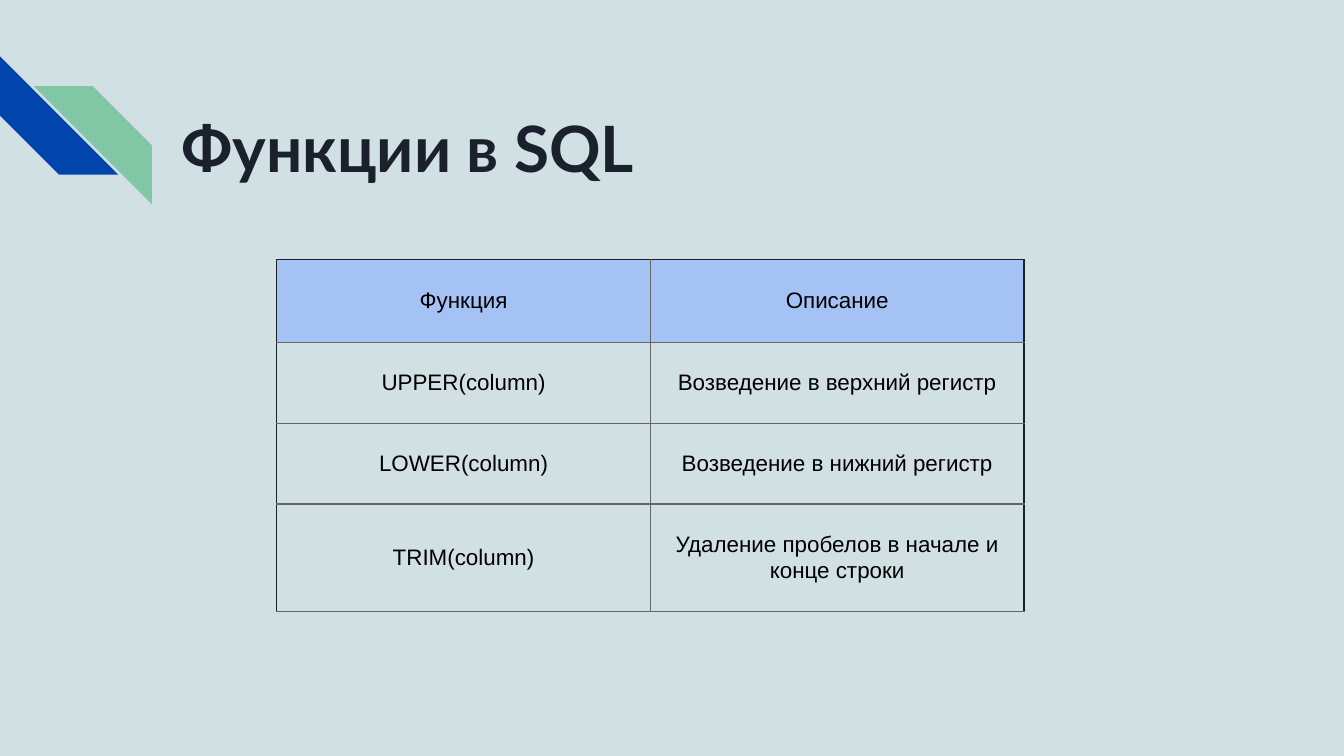
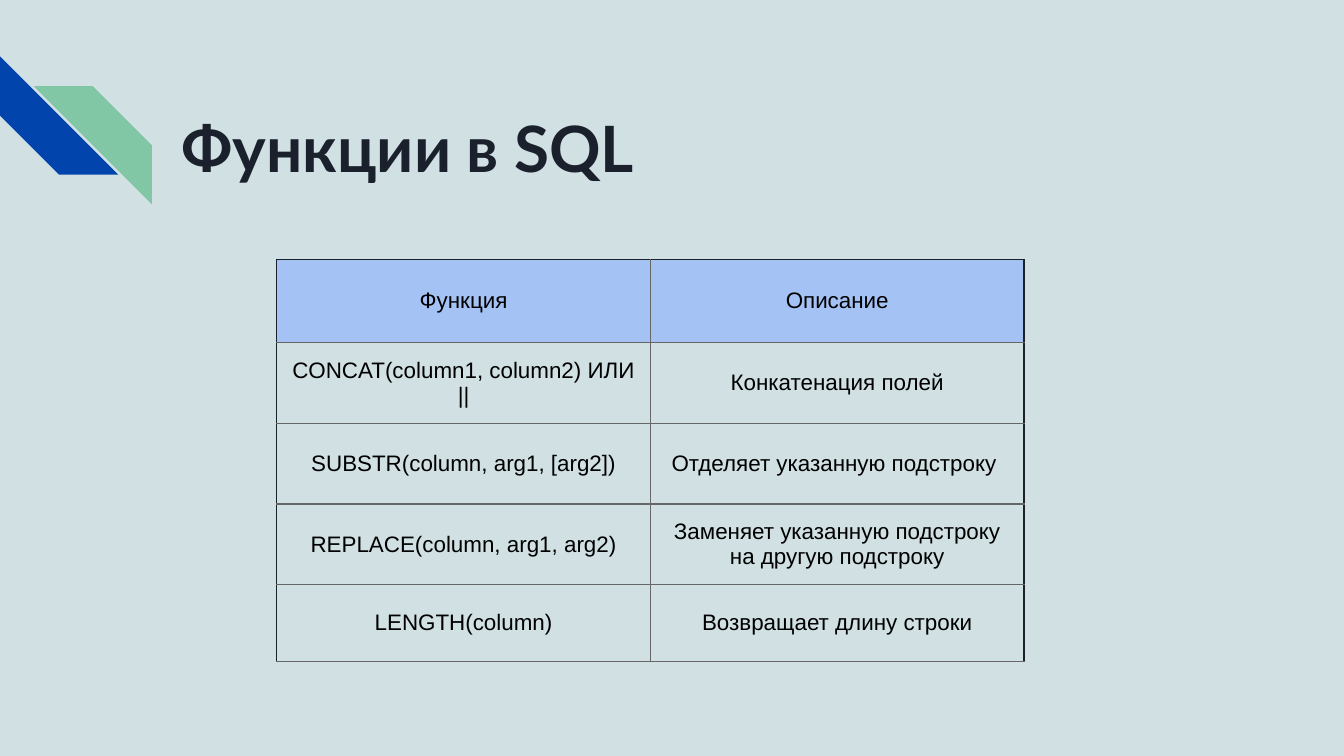
from dataclasses import dataclass

from lxml import etree
from pptx import Presentation
from pptx.dml.color import RGBColor
from pptx.enum.shapes import MSO_SHAPE
from pptx.enum.text import MSO_ANCHOR, PP_ALIGN
from pptx.oxml.ns import qn
from pptx.slide import Slide
from pptx.table import _Cell
from pptx.util import Emu, Pt

DIAGONAL_STRIPE = MSO_SHAPE.DIAGONAL_STRIPE
CENTER = PP_ALIGN.CENTER
MIDDLE = MSO_ANCHOR.MIDDLE

PX_PER_INCH = 200
EMU_PER_PX = 914400 // PX_PER_INCH

BACKGROUND = "D0E0E3"
INK = "1B212C"
TEXT = "000000"
HEADER_FILL = "A4C2F4"
GRID_LINE = "666666"

TITLE = "Функции в SQL"
TITLE_FONT = "Lato"
TABLE_FONT = "Arial"
HEADER = ("Функция", "Описание")

INSET = 20
STRIPE_SIZE = 176
TABLE_LEFT, TABLE_TOP = 412, 386
COLUMN_WIDTH = 556
HEADER_HEIGHT = 124


@dataclass(frozen=True)
class Stripe:
    left: int
    top: int
    rotation: int
    color: str


@dataclass(frozen=True)
class FunctionRow:
    function: str
    description: str
    height: int = 120


STRIPES = (
    Stripe(0, 84, 270, "0145AC"),
    Stripe(50, 128, 90, "82C7A5"),
)

FUNCTION_TABLES = (
    (
        FunctionRow("UPPER(column)", "Возведение в верхний регистр"),
        FunctionRow("LOWER(column)", "Возведение в нижний регистр"),
        FunctionRow("TRIM(column)", "Удаление пробелов в начале и конце строки", 160),
    ),
    (
        FunctionRow("CONCAT(column1, column2) ИЛИ ||", "Конкатенация полей"),
        FunctionRow("SUBSTR(column, arg1, [arg2])", "Отделяет указанную подстроку "),
        FunctionRow("REPLACE(column, arg1, arg2)",
                    "Заменяет указанную подстроку на другую подстроку"),
        FunctionRow("LENGTH(column)", "Возвращает длину строки", 114),
    ),
)


def px(length: int) -> Emu:
    return Emu(length * EMU_PER_PX)


def rgb(color: str) -> RGBColor:
    return RGBColor.from_string(color)


def add_stripe(page: Slide, stripe: Stripe) -> None:
    shape = page.shapes.add_shape(DIAGONAL_STRIPE, px(stripe.left), px(stripe.top),
                                  px(STRIPE_SIZE), px(STRIPE_SIZE))
    shape.rotation = stripe.rotation
    shape.shadow.inherit = False
    shape.fill.solid()
    shape.fill.fore_color.rgb = rgb(stripe.color)
    shape.line.fill.background()


def add_title(page: Slide) -> None:
    box = page.shapes.add_textbox(px(250), px(142), px(1482), px(152))
    frame = box.text_frame
    frame.word_wrap = True
    frame.margin_left = frame.margin_right = px(INSET)
    frame.margin_top = frame.margin_bottom = px(INSET)
    para = frame.paragraphs[0]
    para.text = TITLE
    para.font.name = TITLE_FONT
    para.font.size = Pt(34.2)
    para.font.bold = True
    para.font.color.rgb = rgb(INK)


def set_borders(cell: _Cell, colors: dict[str, str]) -> None:
    """Draw thin cell borders; the keys L, R, T, B must come in that order."""
    properties = cell._tc.get_or_add_tcPr()
    for side, color in colors.items():
        line = etree.SubElement(properties, qn(f"a:ln{side}"), w=str(Pt(0.75)))
        fill = etree.SubElement(line, qn("a:solidFill"))
        etree.SubElement(fill, qn("a:srgbClr"), val=color)


def fill_cell(cell: _Cell, text: str, is_header: bool, is_first_column: bool) -> None:
    cell.margin_left = cell.margin_right = px(INSET)
    cell.margin_top = cell.margin_bottom = px(INSET)
    cell.vertical_anchor = MIDDLE
    set_borders(cell, {
        "L": INK if is_first_column else GRID_LINE,
        "R": GRID_LINE if is_first_column else INK,
        "T": INK if is_header else GRID_LINE,
        "B": GRID_LINE,
    })
    if is_header:
        cell.fill.solid()
        cell.fill.fore_color.rgb = rgb(HEADER_FILL)
    else:
        cell.fill.background()
    para = cell.text_frame.paragraphs[0]
    para.text = text
    para.alignment = CENTER
    para.font.name = TABLE_FONT
    para.font.size = Pt(12)
    para.font.color.rgb = rgb(TEXT)


def add_function_table(page: Slide, functions: tuple[FunctionRow, ...]) -> None:
    rows = (FunctionRow(*HEADER, HEADER_HEIGHT), *functions)
    table = page.shapes.add_table(
        len(rows), len(HEADER), px(TABLE_LEFT), px(TABLE_TOP),
        px(COLUMN_WIDTH * len(HEADER)), px(sum(row.height for row in rows))).table
    table.first_row = table.horz_banding = False
    for column in table.columns:
        column.width = px(COLUMN_WIDTH)
    for row_index, row in enumerate(rows):
        table.rows[row_index].height = px(row.height)
        for column_index, text in enumerate((row.function, row.description)):
            fill_cell(table.cell(row_index, column_index), text,
                      row_index == 0, column_index == 0)


def main() -> None:
    deck = Presentation()
    deck.slide_width, deck.slide_height = px(2000), px(1125)
    blank = deck.slide_layouts[6]
    for functions in FUNCTION_TABLES:
        page = deck.slides.add_slide(blank)
        page.background.fill.solid()
        page.background.fill.fore_color.rgb = rgb(BACKGROUND)
        for stripe in STRIPES:
            add_stripe(page, stripe)
        add_title(page)
        add_function_table(page, functions)
    deck.save("out.pptx")


if __name__ == "__main__":
    main()
